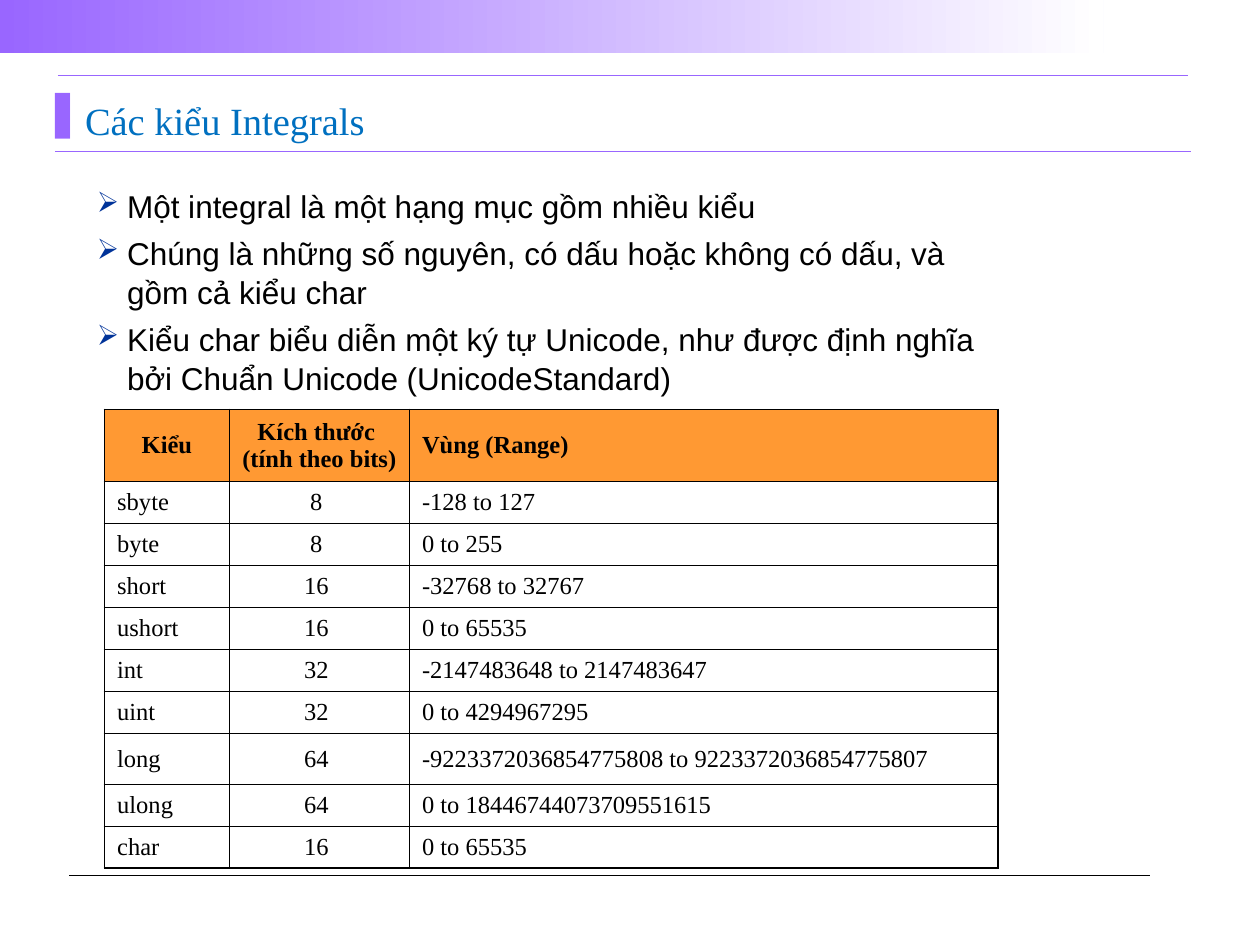
from lxml import etree
from pptx import Presentation
from pptx.dml.color import RGBColor
from pptx.enum.shapes import MSO_CONNECTOR, MSO_SHAPE
from pptx.enum.text import MSO_ANCHOR, MSO_AUTO_SIZE, PP_ALIGN
from pptx.oxml.ns import qn
from pptx.util import Inches, Pt

LEFT, CENTER = PP_ALIGN.LEFT, PP_ALIGN.CENTER
MIDDLE, BOTTOM = MSO_ANCHOR.MIDDLE, MSO_ANCHOR.BOTTOM
RECT, STRAIGHT = MSO_SHAPE.RECTANGLE, MSO_CONNECTOR.STRAIGHT
TITLE_ONLY = 5

WIDTH, HEIGHT = Inches(10), Inches(7.5)
COLS, ROWS = 100, 75
COLORS = {"purple": "9966FF", "white": "FFFFFF", "black": "000000",
          "navy": "003399", "blue": "0070C0", "orange": "FF9933"}
SERIF, SANS = "Times New Roman", "Arial"
THIN, THICK = 0.45, 1.08


def rgb(name):
    return RGBColor.from_string(COLORS[name])


def add_text(p, text, size=14, font=SERIF, color="black", bold=False,
             align=LEFT, before=0, spacing=1.0):
    p.alignment, p.space_before, p.line_spacing = align, Pt(before), spacing
    r = p.add_run()
    r.text = text
    r.font.size, r.font.name, r.font.bold = Pt(size), font, bold
    r.font.color.rgb = rgb(color)


def add_bullet(p, char, color, indent, percent=100):
    pPr = p._p.get_or_add_pPr()
    pPr.set("marL", str(indent))
    pPr.set("indent", str(-indent))
    clr = etree.SubElement(pPr, qn("a:buClr"))
    etree.SubElement(clr, qn("a:srgbClr"), val=COLORS[color])
    etree.SubElement(pPr, qn("a:buSzPct"), val=str(percent * 1000))
    etree.SubElement(pPr, qn("a:buChar"), char=char)


def set_border(cell, side, width):
    tcPr = cell._tc.get_or_add_tcPr()
    ln = etree.SubElement(tcPr, qn("a:ln" + side), w=str(Pt(width)))
    fill = etree.SubElement(ln, qn("a:solidFill"))
    etree.SubElement(fill, qn("a:srgbClr"), val=COLORS["black"])


class SlideBuilder:
    """Places elements on a grid of COLS by ROWS cells."""

    def __init__(self, prs):
        self.s = prs.slides.add_slide(prs.slide_layouts[TITLE_ONLY])

    def x(self, cols):
        return round(WIDTH * cols / COLS)

    def y(self, rows):
        return round(HEIGHT * rows / ROWS)

    def box(self, left, top, width, height):
        return self.x(left), self.y(top), self.x(width), self.y(height)

    def band(self, box, start, end):
        sp = self.s.shapes.add_shape(RECT, *self.box(*box))
        sp.shadow.inherit = False
        sp.line.fill.background()
        sp.fill.gradient()
        sp.fill.gradient_angle = 0
        for stop, color, pos in zip(sp.fill.gradient_stops, (start, end), (0, 1)):
            stop.color.rgb, stop.position = rgb(color), pos

    def rule(self, left, right, row, color, width):
        ln = self.s.shapes.add_connector(
            STRAIGHT, self.x(left), self.y(row), self.x(right), self.y(row))
        ln.line.color.rgb, ln.line.width = rgb(color), Pt(width)
        etree.SubElement(ln._element.spPr, qn("a:effectLst"))

    def title(self, box, text):
        sp = self.s.shapes.title
        sp.left, sp.top, sp.width, sp.height = self.box(*box)
        tf = sp.text_frame
        tf.margin_left = tf.margin_right = tf.margin_top = tf.margin_bottom = 0
        tf.vertical_anchor, tf.auto_size = BOTTOM, MSO_AUTO_SIZE.NONE
        p = tf.paragraphs[0]
        add_text(p, text, size=22, color="blue")
        add_bullet(p, "▌", "purple", self.x(1.9))

    def bullets(self, box, items):
        tf = self.s.shapes.add_textbox(*self.box(*box)).text_frame
        tf.word_wrap = True
        for i, item in enumerate(items):
            p = tf.add_paragraph() if i else tf.paragraphs[0]
            add_text(p, item, size=18, font=SANS, before=4.5, spacing=1.04)
            add_bullet(p, "➢", "navy", self.x(2.4), 90)

    def table(self, box, widths, heights, rows):
        last_row, last_col = len(rows) - 1, len(widths) - 1
        table = self.s.shapes.add_table(
            len(rows), len(widths), *self.box(*box)).table
        table.first_row = table.horz_banding = False
        for column, width in zip(table.columns, widths):
            column.width = self.x(width)
        for i, values in enumerate(rows):
            table.rows[i].height = self.y(heights[i])
            for j, value in enumerate(values):
                cell = table.cell(i, j)
                cell.vertical_anchor = MIDDLE
                cell.margin_left = cell.margin_right = self.x(1)
                cell.margin_top = cell.margin_bottom = self.y(0.5)
                centered = j == 1 or (i == 0 and j == 0)
                for k, line in enumerate(value.split("\n")):
                    tf = cell.text_frame
                    p = tf.add_paragraph() if k else tf.paragraphs[0]
                    add_text(p, line, bold=i == 0,
                             align=CENTER if centered else LEFT)
                # Outer edges are thicker than the inner grid
                edges = {"L": j == 0, "R": j == last_col,
                         "T": i == 0, "B": i == last_row}
                for side, outer in edges.items():
                    set_border(cell, side, THICK if outer else THIN)
                if i == 0:
                    cell.fill.solid()
                    cell.fill.fore_color.rgb = rgb("orange")
                else:
                    cell.fill.background()


BULLETS = [
    "Một integral là một hạng mục gồm nhiều kiểu",
    "Chúng là những số nguyên, có dấu hoặc không có dấu, và gồm cả kiểu char",
    "Kiểu char biểu diễn một ký tự Unicode, như được định nghĩa bởi "
    "Chuẩn Unicode (UnicodeStandard)",
]
TYPES = [
    ("Kiểu", "Kích thước \n(tính theo bits) ", "Vùng (Range)"),
    ("sbyte", "8 ", "-128 to 127"),
    ("byte", "8 ", "0 to 255"),
    ("short", "16 ", "-32768 to 32767"),
    ("ushort", "16 ", "0 to 65535"),
    ("int", "32 ", "-2147483648 to 2147483647"),
    ("uint", "32 ", "0 to 4294967295"),
    ("long", "64 ", "-9223372036854775808 to 9223372036854775807"),
    ("ulong", "64 ", "0 to 18446744073709551615"),
    ("char", "16 ", "0 to 65535"),
]


def main():
    prs = Presentation()
    prs.slide_width, prs.slide_height = WIDTH, HEIGHT
    slide = SlideBuilder(prs)

    # Top band and rules
    slide.band((0, 0, 87.6, 4.25), "purple", "white")
    slide.rule(4.4, 94.5, 12, "purple", 0.5)
    slide.rule(4.6, 94.3, 6, "purple", 0.75)
    slide.rule(5.5, 91.3, 69.5, "black", 0.75)

    # Title and bullet list
    slide.title((4.4, 7.7, 86.1, 3.7), "Các kiểu Integrals")
    slide.bullets((6.7, 14.2, 74.2, 18.3), BULLETS)

    # Table of integral types: taller rows for the header and "long"
    total, header, tall = 36.4, 5.7, 4
    heights = [(total - header - tall) / (len(TYPES) - 2)] * len(TYPES)
    heights[0], heights[7] = header, tall
    slide.table((8.3, 32.5, 70.9, total), (9.9, 14.3, 46.7), heights, TYPES)

    prs.save("out.pptx")


if __name__ == "__main__":
    main()
